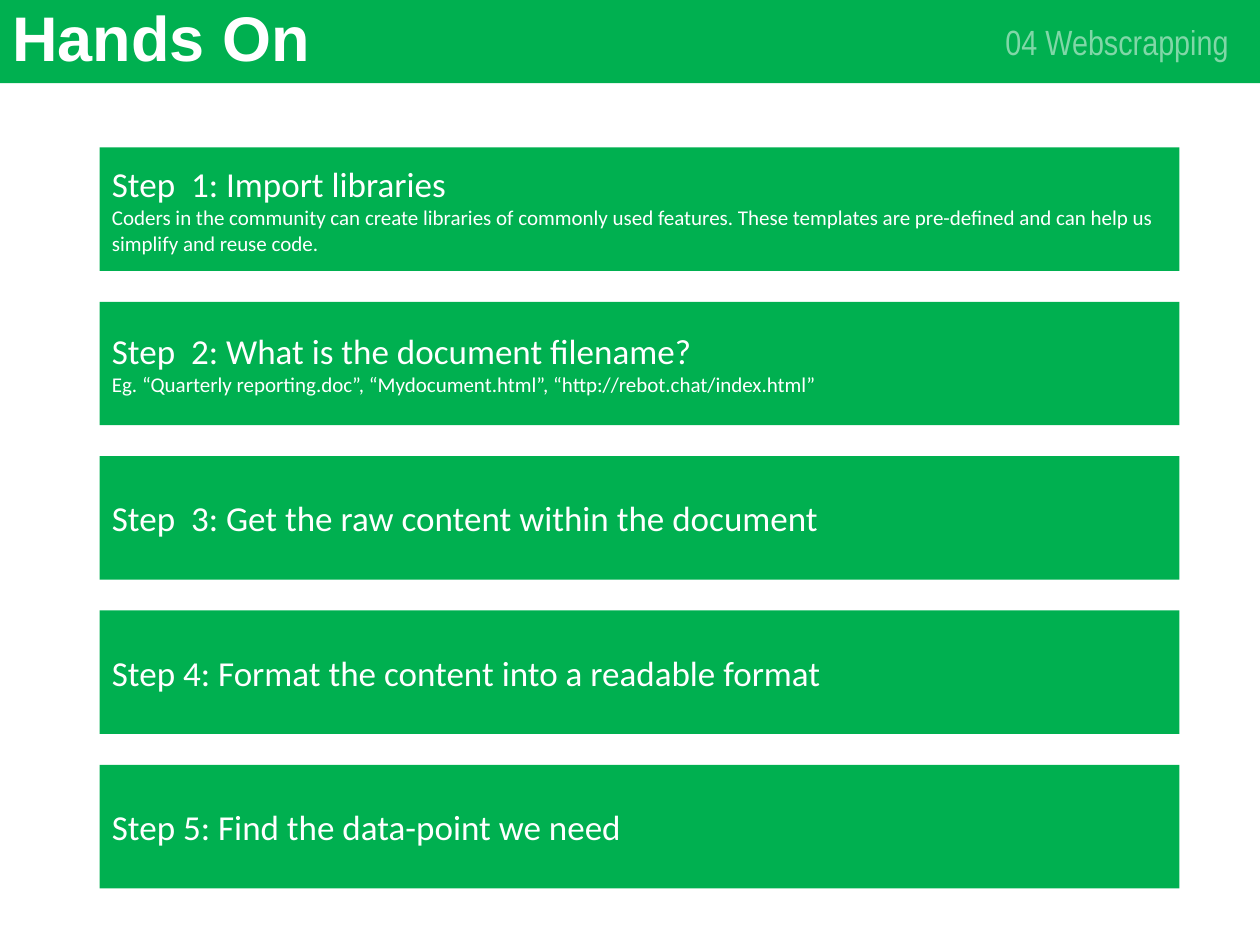
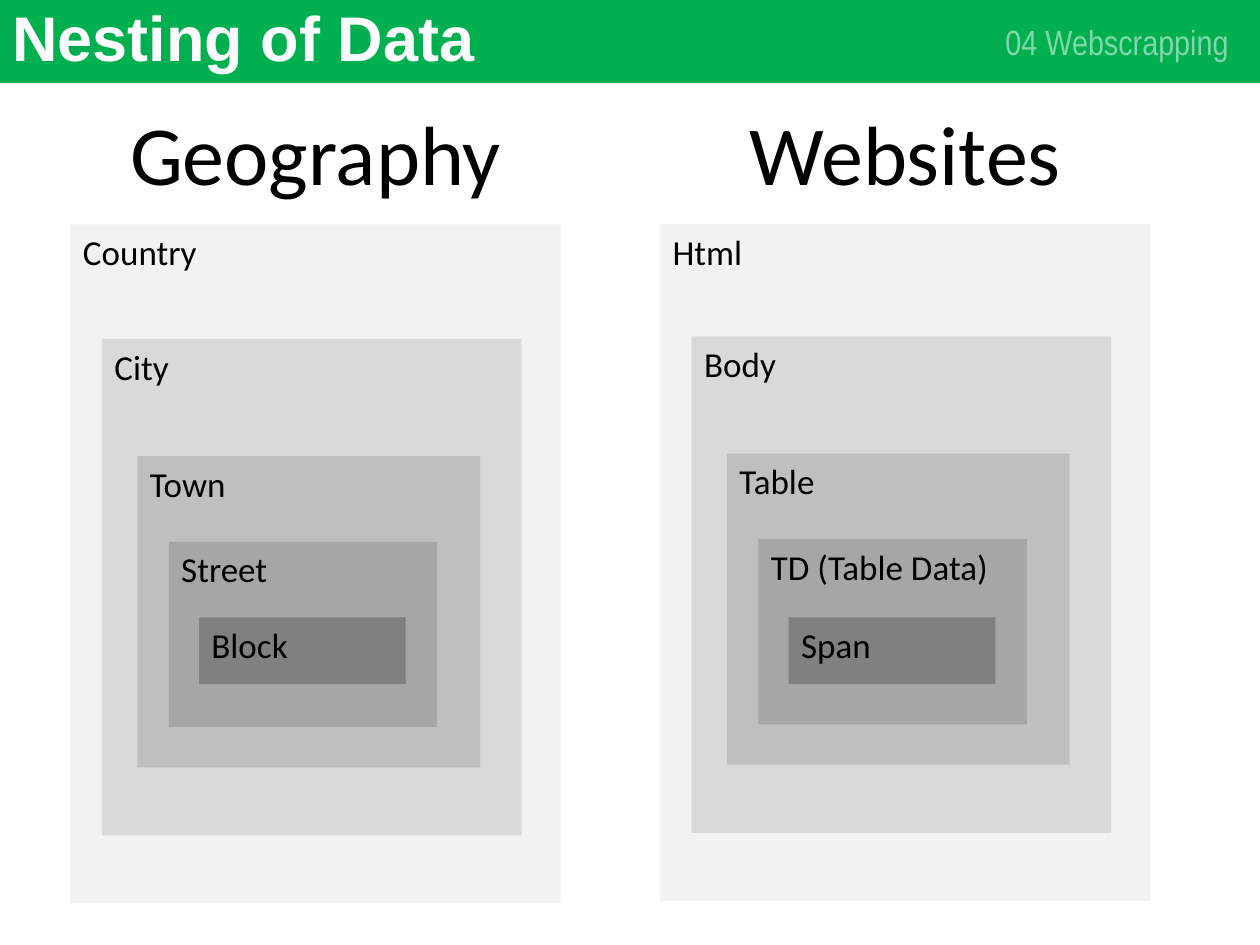
from lxml import etree
from pptx import Presentation
from pptx.dml.color import RGBColor
from pptx.enum.shapes import MSO_SHAPE
from pptx.enum.text import MSO_ANCHOR, PP_ALIGN
from pptx.oxml.ns import qn
from pptx.util import Inches, Pt

RECTANGLE = MSO_SHAPE.RECTANGLE
TOP, MIDDLE = MSO_ANCHOR.TOP, MSO_ANCHOR.MIDDLE
LEFT, CENTER, RIGHT = PP_ALIGN.LEFT, PP_ALIGN.CENTER, PP_ALIGN.RIGHT

GREEN = RGBColor(0x00, 0xB0, 0x50)
WHITE = RGBColor(0xFF, 0xFF, 0xFF)
BLACK = RGBColor(0x00, 0x00, 0x00)
PANEL_GREY = RGBColor(0xF2, 0xF2, 0xF2)
CORE_GREY = RGBColor(0x80, 0x80, 0x80)

SLIDE_WIDTH, SLIDE_HEIGHT = 10, 7.5
BAND_HEIGHT = 0.66
CHAPTER = "04 Webscrapping"
BODY_FONT = "Calibri"

STEPS = [
    ("Step  1: Import libraries",
     "Coders in the community can create libraries of commonly used features. "
     "These templates are pre-defined and can help us simplify and reuse code."),
    ("Step  2: What is the document filename?",
     "Eg. “Quarterly reporting.doc”, “Mydocument.html”, “http://rebot.chat/index.html”"),
    ("Step  3: Get the raw content within the document",),
    ("Step 4: Format the content into a readable format",),
    ("Step 5: Find the data-point we need",),
]
STEP_HEIGHT, STEP_PITCH = 0.98, 1.225

# Inset from the panel's left, inset from its bottom, width, height, fill
MIDDLE_LEVELS = [
    (0.25, 0.54, 3.33, 3.94, RGBColor(0xD9, 0xD9, 0xD9)),
    (0.53, 1.08, 2.72, 2.47, RGBColor(0xBF, 0xBF, 0xBF)),
    (0.78, 1.40, 2.13, 1.47, RGBColor(0xA6, 0xA6, 0xA6)),
]


def write(shape, text, size=20, font=BODY_FONT, color=BLACK, bold=False, align=LEFT,
          anchor=TOP, line_spacing=None, alpha=None, append=False):
    """Write one paragraph into a shape, after the existing ones if append is set."""
    frame = shape.text_frame
    frame.word_wrap = True
    frame.vertical_anchor = anchor
    para = frame.add_paragraph() if append else frame.paragraphs[0]
    para.alignment = align
    if line_spacing:
        para.line_spacing = line_spacing
    span = para.add_run()
    span.text = text
    span.font.size = Pt(size)
    span.font.name = font
    span.font.bold = bold
    span.font.color.rgb = color
    if alpha is not None:
        tint = span.font.fill._xPr.find(".//" + qn("a:srgbClr"))
        etree.SubElement(tint, qn("a:alpha"), val=str(alpha * 1000))


def add_block(page, left, top, width, height, fill):
    block = page.shapes.add_shape(
        RECTANGLE, Inches(left), Inches(top), Inches(width), Inches(height))
    block.shadow.inherit = False
    block.fill.solid()
    block.fill.fore_color.rgb = fill
    block.line.fill.background()
    return block


def add_label(page, left, top, width, height, text, **style):
    box = page.shapes.add_textbox(
        Inches(left), Inches(top), Inches(width), Inches(height))
    write(box, text, **style)


def add_page(deck, title):
    """Add a slide with the green band, the chapter name and the title."""
    page = deck.slides.add_slide(deck.slide_layouts[6])
    add_block(page, 0, 0, SLIDE_WIDTH, BAND_HEIGHT, GREEN)
    add_label(page, 7.76, 0.13, 2.09, 0.4, CHAPTER, font="Arial Narrow",
              color=WHITE, alpha=50, align=RIGHT, anchor=MIDDLE)
    add_label(page, 0, 0, 8.62, BAND_HEIGHT, title, size=36, font="Arial",
              color=WHITE, bold=True, anchor=MIDDLE, line_spacing=0.9)
    return page


def add_steps(page, left, top, width):
    for index, (heading, *details) in enumerate(STEPS):
        step = add_block(page, left, top + index * STEP_PITCH, width, STEP_HEIGHT, GREEN)
        write(step, heading, color=WHITE, anchor=MIDDLE)
        for detail in details:
            write(step, detail, size=12, color=WHITE, anchor=MIDDLE, append=True)


def add_nesting(page, left, top, width, height, heading, names):
    """Draw a headed panel with the named levels nested in it, outermost first."""
    outer, *middle, core = names
    add_label(page, left, top - 1.02, width, 0.91, heading, size=48, align=CENTER)
    write(add_block(page, left, top, width, height, PANEL_GREY), outer)
    for name, (inset, rise, level_width, level_height, fill) in zip(middle, MIDDLE_LEVELS):
        level_top = top + height - rise - level_height
        write(add_block(page, left + inset, level_top, level_width, level_height, fill), name)
    write(add_block(page, left + 1.02, top + 3.12, 1.64, 0.53, CORE_GREY), core)


def main():
    deck = Presentation()
    deck.slide_width = Inches(SLIDE_WIDTH)
    deck.slide_height = Inches(SLIDE_HEIGHT)

    add_steps(add_page(deck, "Hands On"), 0.79, 1.17, 8.57)

    nesting = add_page(deck, "Nesting of Data")
    add_nesting(nesting, 0.56, 1.78, 3.89, 5.39, "Geography",
                ["Country", "City", "Town", "Street", "Block"])
    add_nesting(nesting, 5.24, 1.78, 3.89, 5.37, "Websites",
                ["Html", "Body", "Table", "TD (Table Data)", "Span"])

    deck.save("out.pptx")


if __name__ == "__main__":
    main()
